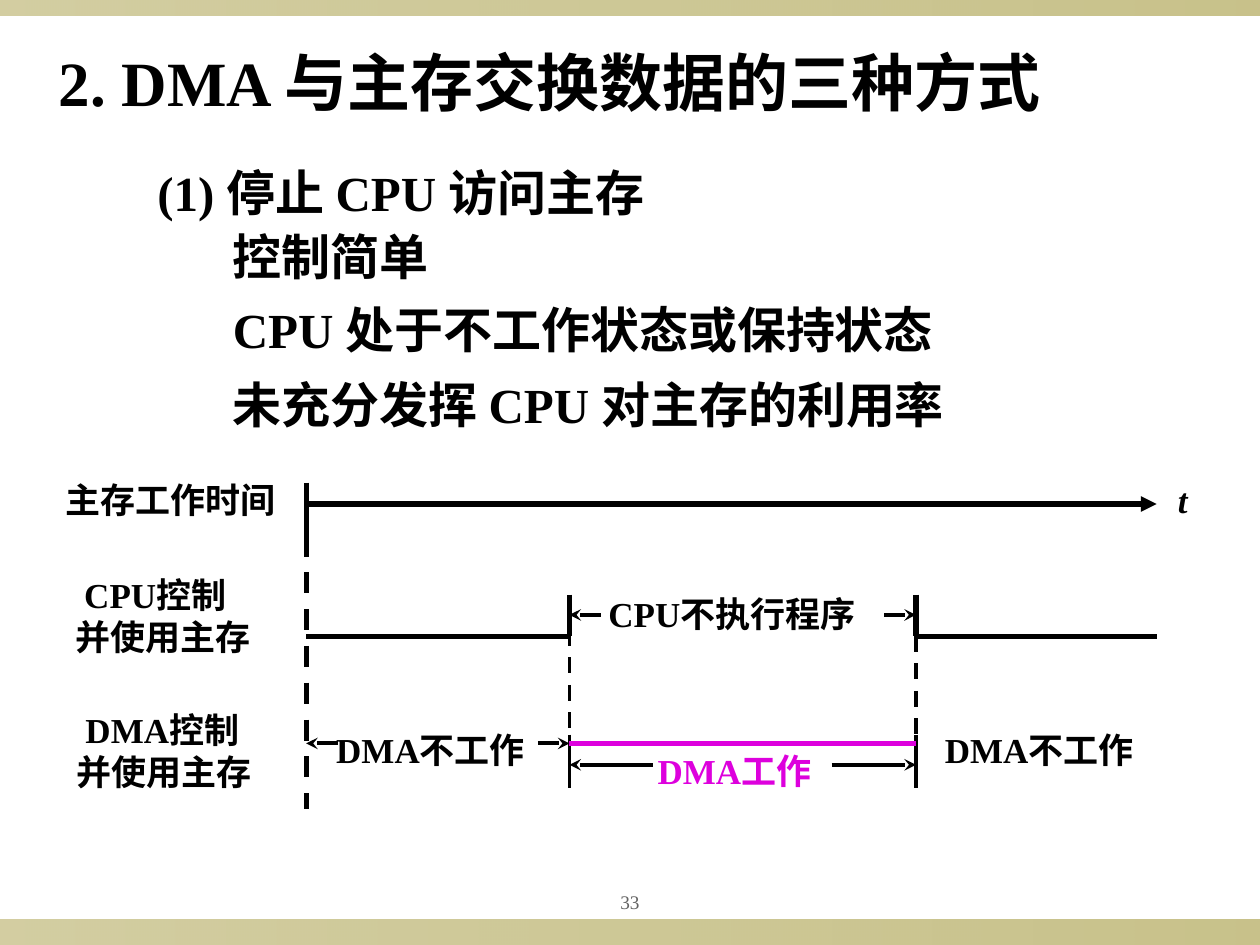
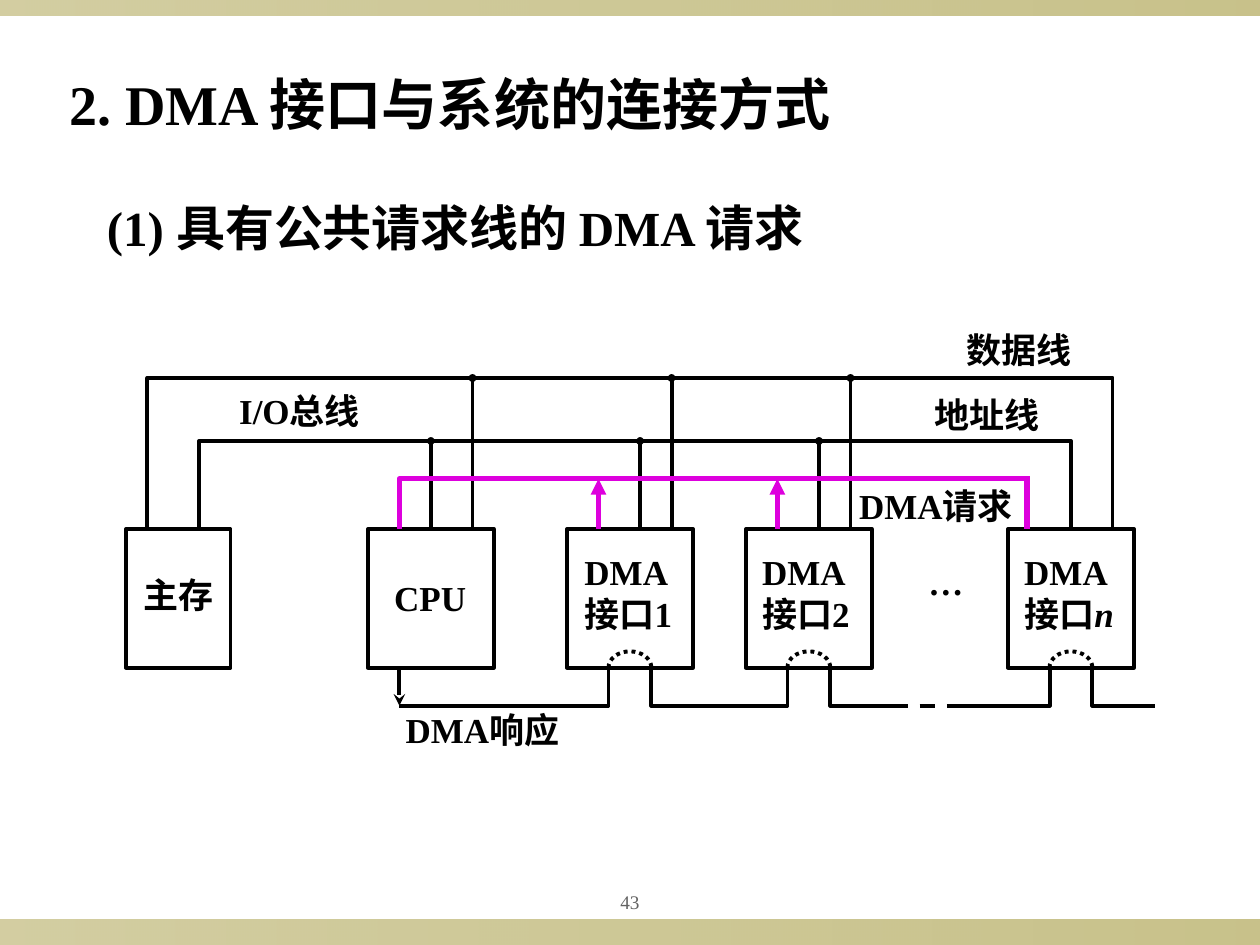
import math
from dataclasses import dataclass

from lxml import etree
from pptx import Presentation
from pptx.dml.color import RGBColor
from pptx.enum.dml import MSO_LINE
from pptx.enum.lang import MSO_LANGUAGE_ID
from pptx.enum.shapes import MSO_CONNECTOR, MSO_SHAPE
from pptx.enum.text import MSO_ANCHOR, MSO_AUTO_SIZE, PP_ALIGN
from pptx.oxml.ns import qn
from pptx.shapes.base import BaseShape
from pptx.slide import Slide
from pptx.util import Emu, Pt

SCALE = 9144
WIDE, HIGH = 1000, 750
FONT = "Times New Roman"
BLACK = RGBColor(0x00, 0x00, 0x00)
PINK = RGBColor(0xDD, 0x00, 0xDD)
GRAY = RGBColor(0x63, 0x63, 0x63)
OLIVE = RGBColor(0x91, 0x84, 0x15)
RECT = MSO_SHAPE.RECTANGLE
STRAIGHT = MSO_CONNECTOR.STRAIGHT
DASH = MSO_LINE.DASH
DOTS = MSO_LINE.ROUND_DOT
MIDDLE = MSO_ANCHOR.MIDDLE
CENTER = PP_ALIGN.CENTER
GROW = MSO_AUTO_SIZE.SHAPE_TO_FIT_TEXT
FIXED = MSO_AUTO_SIZE.NONE
CHINESE = MSO_LANGUAGE_ID.SIMPLIFIED_CHINESE
THIN, THICK = 2.25, 3


@dataclass
class Label:
    text: str
    x: int
    y: int
    w: int
    h: int = 44
    size: int = 20
    color: RGBColor = BLACK
    slant: str = ""
    indent: int = 0
    wrap: bool = False


@dataclass
class Line:
    x: int
    y: int
    x2: int
    y2: int
    width: float = THIN
    color: RGBColor = BLACK
    dash: MSO_LINE | None = None
    tip: str = ""


@dataclass
class Trace:
    points: list[tuple[float, float]]
    width: float = THIN
    color: RGBColor = BLACK
    dash: MSO_LINE | None = None


@dataclass
class Box:
    x: int
    w: int = 100
    y: int = 420
    h: int = 110


def px(size: float) -> Emu:
    return Emu(round(size * SCALE))


def stroke(shape: BaseShape, width: float, color: RGBColor, dash: MSO_LINE | None) -> None:
    shape.line.color.rgb = color
    shape.line.width = Pt(width)
    if dash is not None:
        shape.line.dash_style = dash


def put_label(slide: Slide, item: Label) -> BaseShape:
    shape = slide.shapes.add_textbox(px(item.x), px(item.y), px(item.w), px(item.h))
    frame = shape.text_frame
    frame.text = item.text
    frame.word_wrap = item.wrap
    frame.auto_size = GROW
    if item.indent:
        props = frame.paragraphs[0]._p.get_or_add_pPr()
        props.set("marL", str(px(item.indent)))
        props.set("indent", "0")
    if item.slant:
        run = frame.paragraphs[-1].add_run()
        run.text = item.slant
        run.font.italic = True
    for para in frame.paragraphs:
        for run in para.runs:
            run.font.name = FONT
            run.font.size = Pt(item.size)
            run.font.bold = True
            run.font.color.rgb = item.color
            run.font.language_id = CHINESE
    return shape


def put_line(slide: Slide, item: Line) -> None:
    shape = slide.shapes.add_connector(
        STRAIGHT, px(item.x), px(item.y), px(item.x2), px(item.y2))
    stroke(shape, item.width, item.color, item.dash)
    props = shape._element.spPr
    if item.tip:
        tail = etree.SubElement(props.find(qn("a:ln")), qn("a:tailEnd"))
        tail.set("type", item.tip)
        if item.tip == "oval":
            tail.set("w", "sm")
            tail.set("len", "sm")
    etree.SubElement(props, qn("a:effectLst"))


def put_trace(slide: Slide, item: Trace) -> None:
    first, *rest = [(px(x), px(y)) for x, y in item.points]
    pen = slide.shapes.build_freeform(*first, scale=1.0)
    pen.add_line_segments(rest, close=False)
    shape = pen.convert_to_shape()
    shape.shadow.inherit = False
    shape.fill.background()
    stroke(shape, item.width, item.color, item.dash)


def put_box(slide: Slide, item: Box) -> None:
    shape = slide.shapes.add_shape(RECT, px(item.x), px(item.y), px(item.w), px(item.h))
    shape.shadow.inherit = False
    shape.fill.background()
    stroke(shape, THIN, BLACK, None)


def put_band(slide: Slide, y: int, h: int) -> None:
    band = slide.shapes.add_shape(RECT, 0, px(y), px(WIDE), px(h))
    band.shadow.inherit = False
    band.line.fill.background()
    band.fill.gradient()
    band.fill.gradient_angle = 0
    for place, stop in enumerate(band.fill.gradient_stops):
        stop.color.rgb = OLIVE
        stop.position = place
    for tint, alpha in zip(band._element.spPr.iter(qn("a:srgbClr")), (40000, 50000)):
        etree.SubElement(tint, qn("a:alpha")).set("val", str(alpha))


def put_page(slide: Slide, number: str) -> None:
    shape = put_label(slide, Label(number, 450, 700, 100, 31, 11, GRAY, wrap=True))
    frame = shape.text_frame
    frame.auto_size = FIXED
    frame.vertical_anchor = MIDDLE
    frame.margin_left = frame.margin_right = px(5)
    para = frame.paragraphs[0]
    para.alignment = CENTER
    para.runs[0].font.bold = False


PUT = {Label: put_label, Line: put_line, Trace: put_trace, Box: put_box}


def draw(slide: Slide, items: list[Label | Line | Trace | Box]) -> None:
    for item in items:
        PUT[type(item)](slide, item)


def start_slide(deck: Presentation, number: str, title: Label) -> Slide:
    slide = deck.slides.add_slide(deck.slide_layouts[6])
    put_band(slide, 730, 20)
    put_band(slide, 0, 12)
    put_page(slide, number)
    put_label(slide, title)
    return slide


def time_slide(deck: Presentation) -> None:
    slide = start_slide(
        deck, "33", Label("2. DMA 与主存交换数据的三种方式", 37, 30, 816, 70, 36))
    zero, left, right, end = 243, 452, 727, 918
    draw(slide, [
        Label(text, x, y, w, 57, 28, wrap=True) for text, x, y, w in (
            ("(1) 停止 CPU 访问主存", 115, 124, 568),
            ("控制简单", 175, 175, 385),
            ("CPU 处于不工作状态或保持状态", 175, 233, 643),
            ("未充分发挥 CPU 对主存的利用率", 175, 292, 677))])
    draw(slide, [
        Line(zero, 383, zero, 425, THICK),
        Line(zero, 400, end, 400, THICK, tip="triangle"),
        Line(zero, 425, zero, 642, THICK, dash=DASH),
        Line(zero, 505, left, 505, THICK),
        Line(right, 505, end, 505, THICK),
        Line(left, 500, left, 592, dash=DASH),
        Line(right, 483, right, 592, dash=DASH)])
    for x in (left, right):
        draw(slide, [Line(x, 472, x, 505, THICK), Line(x, 583, x, 625)])
    draw(slide, [Line(left, 590, right, 590, THICK, PINK)])
    draw(slide, [
        Line(x, y, edge, y, tip="stealth") for x, edge, y in (
            (477, left, 488), (702, right, 488),
            (268, zero, 590), (427, left, 590),
            (518, left, 607), (660, right, 607))])
    draw(slide, [
        Label("主存工作时间", 42, 375, 190),
        Label("CPU控制\n并使用主存", 50, 450, 162, 77, indent=7),
        Label("DMA控制\n并使用主存", 51, 557, 162, 77, indent=7),
        Label("CPU不执行程序", 473, 465, 226),
        Label("DMA不工作", 257, 573, 180),
        Label("DMA不工作", 740, 573, 180),
        Label("DMA工作", 512, 590, 152, color=PINK),
        Label("", 925, 375, 30, slant="t")])


def bus_slide(deck: Presentation) -> None:
    slide = start_slide(
        deck, "43", Label("2. DMA 接口与系统的连接方式", 45, 50, 640, 64, 32))
    cpu, one, two, last = 292, 450, 592, 800
    top, base, data, addr, ask, reply = 420, 530, 300, 350, 380, 560
    enter, leave = 33, 67
    draw(slide, [
        Label("(1) 具有公共请求线的 DMA 请求", 75, 152, 658, 57, 28, wrap=True),
        Box(100, 83), Box(cpu),
        Label("主存", 104, 450, 80),
        Label("CPU", 303, 453, 80)])
    for x, shift, text, slant in (
            (one, 4, "接口1", ""), (two, 3, "接口2", ""), (last, 3, "接口", "n")):
        mid, half = x + (enter + leave) / 2, (leave - enter) / 2
        turns = [math.pi * step / 16 for step in range(17)]
        arch = [(mid - half * math.cos(a), base - 13 * math.sin(a)) for a in turns]
        draw(slide, [
            Label(f"DMA\n{text}", x + shift, 432, 102, 77, slant=slant),
            Box(x), Trace(arch, dash=DOTS)])

    draw(slide, [
        Line(317, base, 317, reply, tip="stealth"),
        Trace([(317, reply), (one + enter, reply), (one + enter, base)]),
        Trace([(one + leave, base), (one + leave, reply),
               (two + enter, reply), (two + enter, base)]),
        Trace([(two + leave, base), (two + leave, reply), (708, reply)]),
        Line(708, reply, 758, reply, dash=DASH),
        Trace([(758, reply), (last + enter, reply), (last + enter, base)]),
        Trace([(last + leave, base), (last + leave, reply), (917, reply)])])

    for x, x2, y in ((117, 883, data), (158, 850, addr)):
        draw(slide, [Trace([(x, top), (x, y), (x2, y), (x2, top)])])
    for x, shift in ((cpu, 50), (one, 58), (two, 58)):
        draw(slide, [
            Line(x + 83, top, x + 83, data, tip="oval"),
            Line(x + shift, top, x + shift, addr, tip="oval")])

    draw(slide, [
        Line(815, top, 815, 378, THICK, PINK),
        Trace([(816, ask), (317, ask), (317, top)], THICK, PINK)])
    draw(slide, [
        Line(x + 25, top, x + 25, ask, THICK, PINK, tip="triangle") for x in (one, two)])
    draw(slide, [
        Label(text, x, y, w) for text, x, y, w in (
            ("…", 727, 440, 52),
            ("DMA响应", 312, 557, 152),
            ("I/O总线", 180, 304, 126),
            ("数据线", 757, 256, 108),
            ("地址线", 732, 307, 108),
            ("DMA请求", 672, 380, 152))])


def main() -> None:
    deck = Presentation()
    deck.slide_width, deck.slide_height = px(WIDE), px(HIGH)
    time_slide(deck)
    bus_slide(deck)
    deck.save("out.pptx")


if __name__ == "__main__":
    main()
